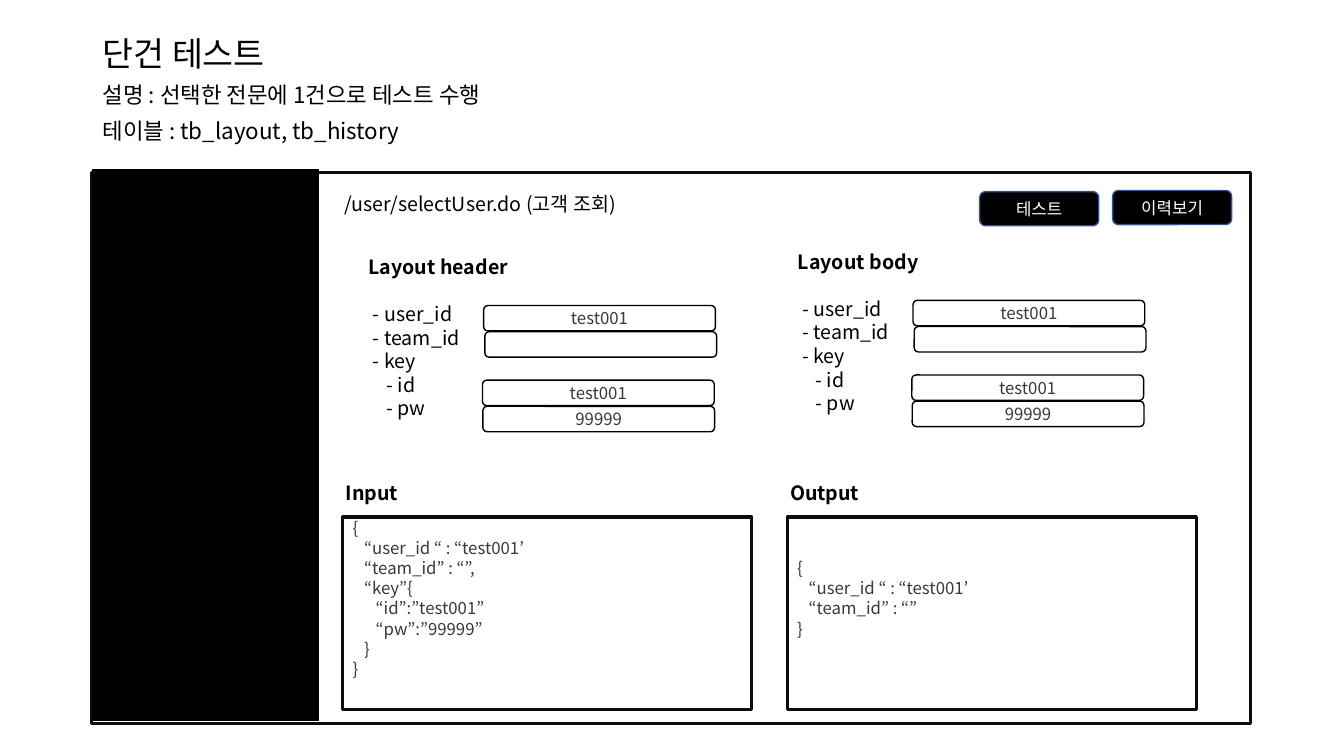
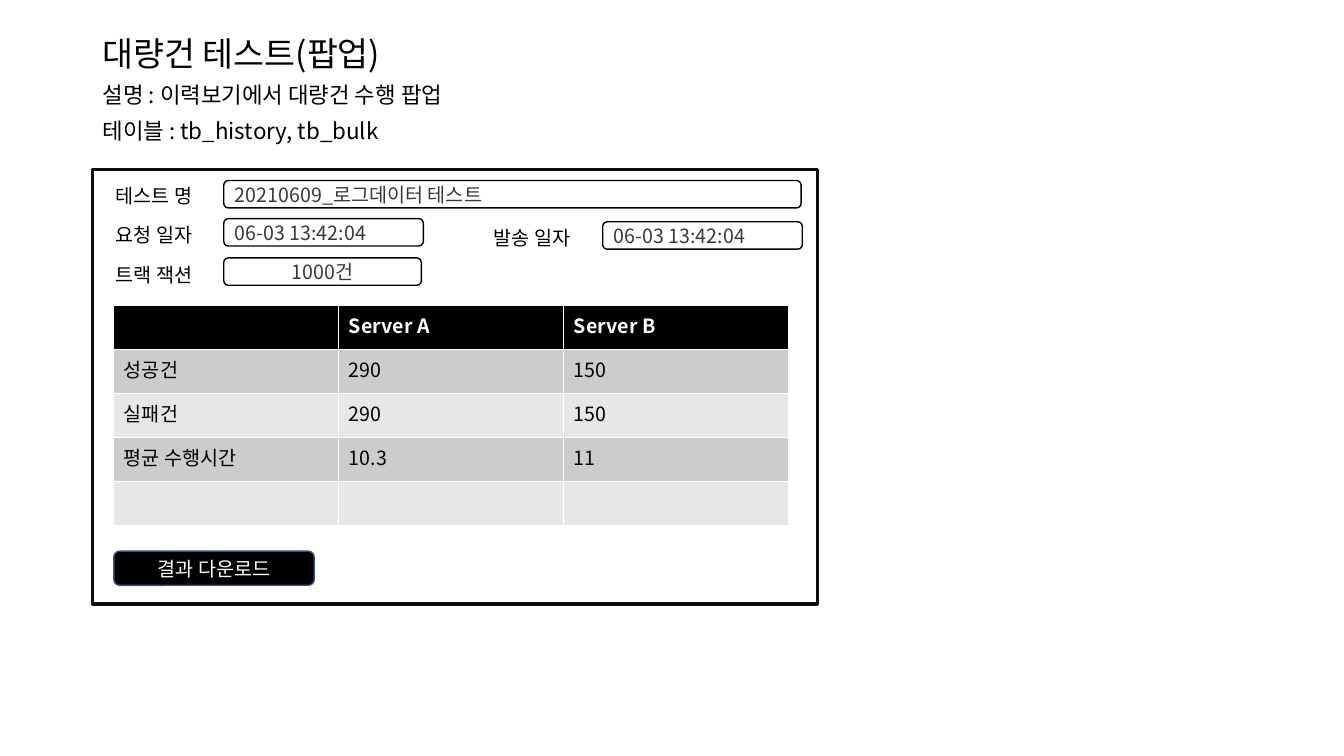
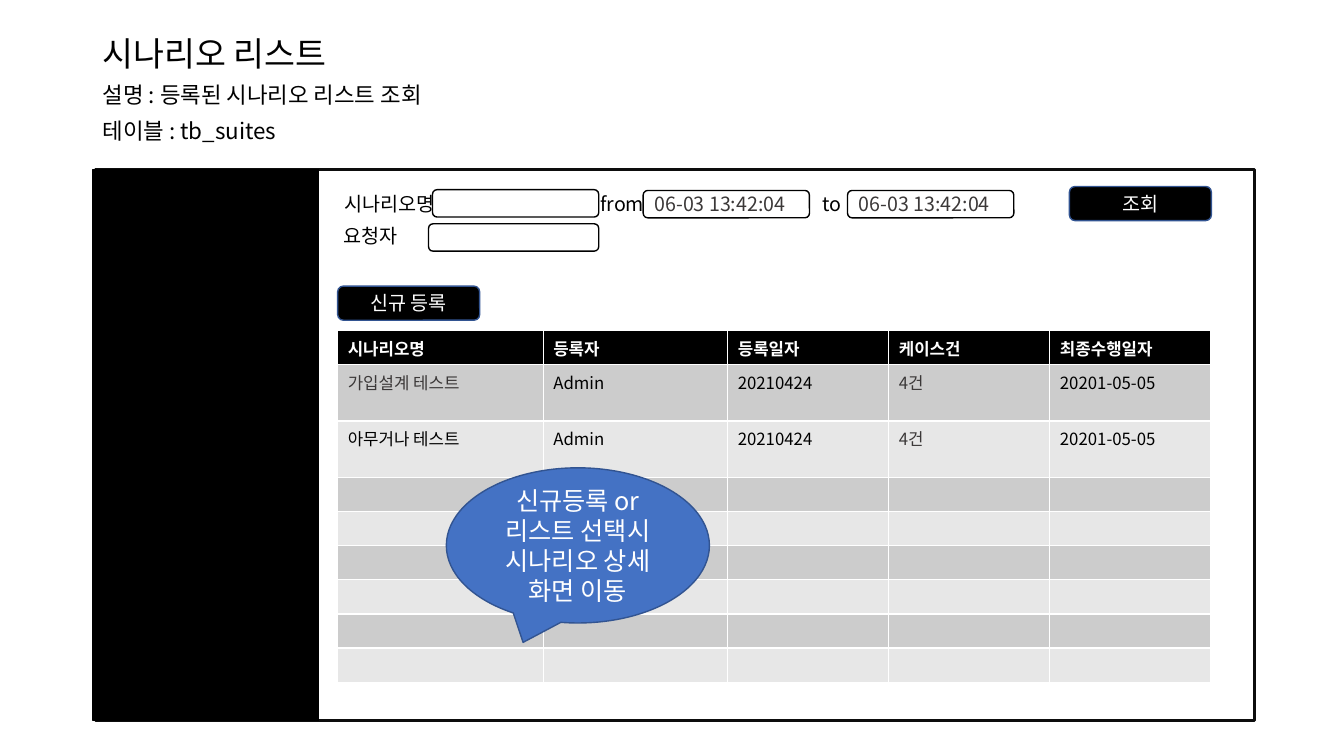
from lxml.etree import SubElement
from pptx import Presentation
from pptx.dml.color import RGBColor
from pptx.enum.shapes import MSO_SHAPE
from pptx.enum.text import MSO_ANCHOR, PP_ALIGN
from pptx.oxml.ns import qn
from pptx.util import Cm, Pt

FONT = "Noto Sans CJK KR"
COLORS = {"black": "000000", "white": "FFFFFF", "frame": "0D0D0D", "gray": "3B3838",
          "edge": "325491", "blue": "4472C4", "odd": "CCCCCC", "even": "E7E7E7"}
RGB = {name: RGBColor.from_string(value) for name, value in COLORS.items()}

# preset shape, fill, line, line width, text colour, alignment, anchor
STYLES = {
    "label": (None, None, None, 0, "black", PP_ALIGN.LEFT, MSO_ANCHOR.TOP),
    "frame": (MSO_SHAPE.FLOWCHART_PROCESS, "white", "frame", 2.25, "gray",
              PP_ALIGN.LEFT, MSO_ANCHOR.MIDDLE),
    "sidebar": (MSO_SHAPE.RECTANGLE, "black", "black", 1, "white",
                PP_ALIGN.LEFT, MSO_ANCHOR.MIDDLE),
    "button": (MSO_SHAPE.ROUNDED_RECTANGLE, "black", "edge", 1, "white",
               PP_ALIGN.CENTER, MSO_ANCHOR.MIDDLE),
    "field": (MSO_SHAPE.ROUNDED_RECTANGLE, None, "black", 1, "gray",
              PP_ALIGN.LEFT, MSO_ANCHOR.MIDDLE),
    "callout": (MSO_SHAPE.OVAL_CALLOUT, "blue", "edge", 1, "white",
                PP_ALIGN.CENTER, MSO_ANCHOR.MIDDLE),
}


def write(tf, text, size, color, align=PP_ALIGN.LEFT, bold=False, indents=()):
    """Write one paragraph a line; indents are left margins in cm."""
    for i, line in enumerate(text.split("\n")):
        p = tf.add_paragraph() if i else tf.paragraphs[0]
        p.alignment = align
        p.font.size = Pt(size)
        p.font.bold = bold
        p.font.color.rgb = RGB[color]
        p.font.name = FONT
        SubElement(p._p.pPr.find(qn("a:defRPr")), qn("a:ea")).set("typeface", FONT)
        if indents:
            p._p.pPr.set("marL", str(Cm(indents[i])))
        if line:
            p.add_run().text = line


def box(s, style, x, y, w, h, text="", size=14, align=None, bold=False, indents=()):
    """Add a shape or label of a named style and return its text frame."""
    preset, fill, line, width, color, usual_align, anchor = STYLES[style]
    at = Cm(x), Cm(y), Cm(w), Cm(h)
    if preset is None:
        sp = s.shapes.add_textbox(*at)
    else:
        sp = s.shapes.add_shape(preset, *at)
        sp.shadow.inherit = False
        sp.line.color.rgb = RGB[line]
        sp.line.width = Pt(width)
        if fill:
            sp.fill.solid()
            sp.fill.fore_color.rgb = RGB[fill]
        else:
            sp.fill.background()
    tf = sp.text_frame
    tf.word_wrap = True
    tf.vertical_anchor = anchor
    if text:
        write(tf, text, size, color, align or usual_align, bold, indents)
    return tf


prs = Presentation()
prs.slide_width, prs.slide_height = Cm(33.87), Cm(19.05)

# Heading, screen frame and sidebar of every slide
pages = [
    ("단건 테스트", "선택한 전문에 1건으로 테스트 수행", "tb_layout, tb_history",
     (2.31, 4.34, 29.21, 13.89), True),
    ("대량건 테스트(팝업)", "이력보기에서 대량건 수행 팝업", "tb_history, tb_bulk",
     (2.34, 4.27, 18.26, 10.95), False),
    ("시나리오 리스트", "등록된 시나리오 리스트 조회", "tb_suites",
     (2.41, 4.27, 29.21, 13.89), True),
]
slides = []
for title, about, tables, frame, has_sidebar in pages:
    s = prs.slides.add_slide(prs.slide_layouts[6])
    slides.append(s)
    box(s, "frame", *frame)
    tf = box(s, "label", 2.34, 0.89, 25.4, 3.02,
             f"{title}\n설명 : {about}\n테이블 : {tables}", 16)
    tf.paragraphs[0].font.size = Pt(24)
    for p in tf.paragraphs:
        p.line_spacing = 0.8
        p.space_before = Pt(10)
    if has_sidebar:
        box(s, "sidebar", 2.34, 4.27, 5.69, 13.89)
single, bulk, scenario = slides

# Single test
box(single, "label", 8.43, 4.7, 13.5, 0.86, "/user/selectUser.do (고객 조회)")
box(single, "button", 24.69, 4.83, 3, 0.86, "테스트", 12)
box(single, "button", 28.04, 4.8, 3, 0.86, "이력보기", 12)

fields = [(3.15, 1.4, "test001"), (3.18, 2.06, ""), (3.12, 3.28, "test001"), (3.13, 3.94, "99999")]
for name, x, y in [("Layout body", 19.86, 6.17), ("Layout header", 9.04, 6.3)]:
    tf = box(single, "label", x, y, 8, 4.45,
             f"{name}\n- user_id\n- team_id\n- key\n- id\n- pw",
             indents=(0, 0.11, 0.11, 0.11, 0.45, 0.45))
    tf.paragraphs[0].font.bold = True
    tf.paragraphs[1].space_before = Pt(16.8)
    for dx, dy, value in fields:
        box(single, "field", x + dx, y + dy, 5.84, 0.64, value, 12, PP_ALIGN.CENTER)

messages = [
    ("Input", 8.46, (0, 1, 1, 1, 2, 2, 1, 0),
     "{\n“user_id “ : “test001’\n“team_id” : “”,\n“key”{\n“id”:”test001”\n“pw”:”99999”\n}\n}"),
    ("Output", 19.66, (0, 1, 1, 0), "{\n“user_id “ : “test001’\n“team_id” : “”\n}"),
]
for name, x, levels, text in messages:
    box(single, "label", x, 11.99, 8, 0.86, name, bold=True)
    tf = box(single, "frame", x + 0.18, 13.03, 10.31, 4.85, text, 12,
             indents=[level * 0.29 for level in levels])
    tf.margin_bottom = Cm(0.89)

# Bulk test
for text, x, y in [("테스트 명", 2.67, 4.52), ("요청 일자", 2.67, 5.49),
                   ("트랙 잭션", 2.67, 6.5), ("발송 일자", 12.19, 5.56)]:
    box(bulk, "label", x, y, 3, 0.86, text)
box(bulk, "field", 5.64, 4.55, 14.55, 0.69, "20210609_로그데이터 테스트")
box(bulk, "field", 5.64, 5.51, 5.03, 0.69, "06-03 13:42:04")
box(bulk, "field", 15.19, 5.59, 5.03, 0.69, "06-03 13:42:04")
box(bulk, "field", 5.64, 6.5, 4.98, 0.69, "1000건", align=PP_ALIGN.CENTER)
box(bulk, "button", 2.87, 13.89, 5.05, 0.86, "결과 다운로드")

# Scenario list
for x, y, w, text in [(10.9, 4.78, 4.19, ""), (10.8, 5.64, 4.29, ""),
                      (16.21, 4.8, 4.19, "06-03 13:42:04"),
                      (21.36, 4.8, 4.19, "06-03 13:42:04")]:
    box(scenario, "field", x, y, w, 0.69, text)
for text, x, y in [("시나리오명", 8.43, 4.7), ("from", 14.88, 4.7),
                   ("to", 20.47, 4.7), ("요청자", 8.41, 5.51)]:
    box(scenario, "label", x, y, 3, 0.86, text)
box(scenario, "button", 26.95, 4.7, 3.58, 0.86, "조회")
box(scenario, "button", 8.51, 7.21, 3.58, 0.86, "신규 등록")

# Tables: slide, left, top, column widths, row heights, text size, gray entries, rows
grids = [
    (bulk, 2.87, 7.7, [5.67] * 3, [1.11] * 5, 14, (),
     [("", "Server A", "Server B"), ("성공건", "290", "150"), ("실패건", "290", "150"),
      ("평균 수행시간", "10.3", "11")]),
    (scenario, 8.51, 8.33, [5.18, 4.65] + [4.06] * 3, [0.86, 1.42, 1.42] + [0.86] * 6, 12,
     ("가입설계 테스트", "4건"),
     [("시나리오명", "등록자", "등록일자", "케이스건", "최종수행일자"),
      ("가입설계 테스트", "Admin", "20210424", "4건", "20201-05-05"),
      ("아무거나 테스트", "Admin", "20210424", "4건", "20201-05-05")]),
]
for s, x, y, widths, heights, size, grays, rows in grids:
    table = s.shapes.add_table(len(heights), len(widths), Cm(x), Cm(y),
                               Cm(sum(widths)), Cm(sum(heights))).table
    for column, width in zip(table.columns, widths):
        column.width = Cm(width)
    for r, height in enumerate(heights):
        table.rows[r].height = Cm(height)
        fill = "black" if r == 0 else "odd" if r % 2 else "even"
        for c in range(len(widths)):
            cell = table.cell(r, c)
            cell.fill.solid()
            cell.fill.fore_color.rgb = RGB[fill]
            text = rows[r][c] if r < len(rows) else ""
            color = "white" if r == 0 else "gray" if text in grays else "black"
            write(cell.text_frame, text, size, color, bold=r == 0)

box(scenario, "callout", 11.25, 11.79, 6.63, 3.91,
    "신규등록 or 리스트 선택시 시나리오 상세 화면 이동", 18)

prs.save("out.pptx")
